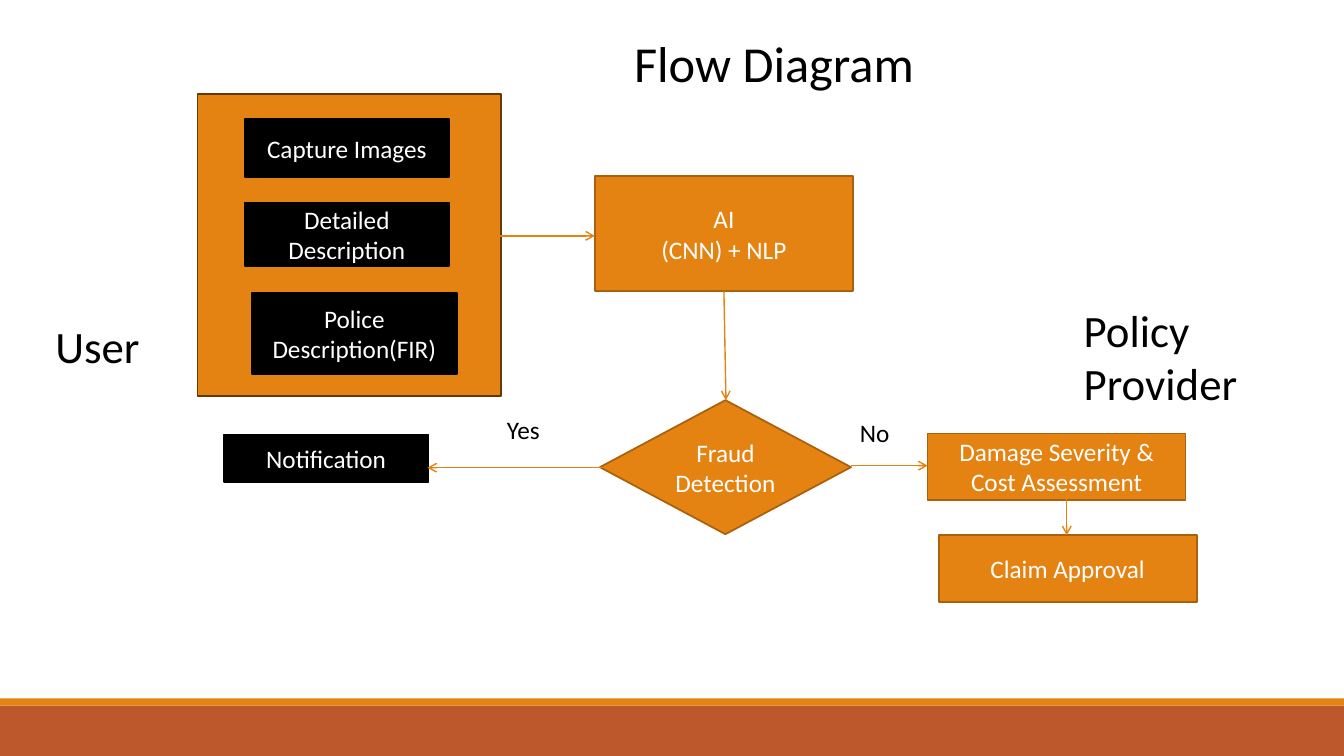
from dataclasses import dataclass

from lxml.etree import SubElement
from pptx import Presentation
from pptx.dml.color import RGBColor
from pptx.enum.shapes import MSO_CONNECTOR, MSO_SHAPE
from pptx.enum.text import MSO_ANCHOR, MSO_AUTO_SIZE, PP_ALIGN
from pptx.oxml.ns import qn
from pptx.util import Emu, Pt


@dataclass(frozen=True)
class Theme:
    font: str = "Calibri"
    orange: str = "E48312"
    orange_edge: str = "A9610D"
    panel_edge: str = "643908"
    rust: str = "BD582C"
    black: str = "000000"
    white: str = "FFFFFF"
    title_size: int = 36
    role_size: int = 32
    body_size: int = 18
    edge_width: float = 1.25
    arrow_width: float = 1


theme = Theme()
PX = 9144  # 100 px to the inch


def write_lines(frame, lines, size, color, alignment):
    for index, line in enumerate(lines):
        paragraph = frame.paragraphs[0] if index == 0 else frame.add_paragraph()
        paragraph.alignment = alignment
        run = paragraph.add_run()
        run.text = line
        run.font.name = theme.font
        run.font.size = Pt(size)
        run.font.color.rgb = RGBColor.from_string(color)


def add_box(box, fill, edge=None, lines=(), kind=MSO_SHAPE.RECTANGLE):
    shape = slide.shapes.add_shape(kind, *(Emu(value * PX) for value in box))
    shape.shadow.inherit = False
    shape.fill.solid()
    shape.fill.fore_color.rgb = RGBColor.from_string(fill)
    if edge:
        shape.line.color.rgb = RGBColor.from_string(edge)
        shape.line.width = Pt(theme.edge_width)
    else:
        shape.line.fill.background()
    shape.text_frame.word_wrap = True
    shape.text_frame.vertical_anchor = MSO_ANCHOR.MIDDLE
    write_lines(shape.text_frame, lines, theme.body_size, theme.white, PP_ALIGN.CENTER)


presentation = Presentation()
presentation.slide_width = Emu(1333 * PX)
presentation.slide_height = Emu(750 * PX)
slide = presentation.slides.add_slide(presentation.slide_layouts[6])

# Footer bands and the user's panel
add_box((0, 700, 1333, 50), theme.rust)
add_box((0, 693, 1333, 7), theme.orange)
add_box((196, 93, 301, 300), theme.orange, theme.panel_edge)

# What the user sends and receives
user_steps = [
    ((243, 118, 202, 58), "Capture Images"),
    ((243, 201, 202, 63), "Detailed Description"),
    ((250, 291, 203, 80), "Police Description(FIR)"),
    ((222, 431, 203, 47), "Notification"),
]
for box, label in user_steps:
    add_box(box, theme.black, theme.black, [label])

# What the system and the policy provider do
process_steps = [
    ((590, 175, 256, 114), ["AI", "(CNN) + NLP"], MSO_SHAPE.RECTANGLE),
    ((595, 397, 249, 133), ["Fraud Detection"], MSO_SHAPE.FLOWCHART_DECISION),
    ((920, 430, 256, 66), ["Damage Severity & Cost Assessment"], MSO_SHAPE.RECTANGLE),
    ((931, 531, 256, 66), ["Claim Approval"], MSO_SHAPE.RECTANGLE),
]
for box, lines, kind in process_steps:
    add_box(box, theme.orange, theme.orange_edge, lines, kind)

# Arrows: start x, start y, end x, end y
arrows = [
    (495, 234, 590, 234),
    (718, 289, 720, 397),
    (599, 464, 424, 464),
    (844, 462, 920, 462),
    (1058, 493, 1058, 531),
]
for ends in arrows:
    arrow = slide.shapes.add_connector(
        MSO_CONNECTOR.STRAIGHT, *(Emu(value * PX) for value in ends)
    )
    arrow.line.color.rgb = RGBColor.from_string(theme.orange)
    arrow.line.width = Pt(theme.arrow_width)
    SubElement(arrow.line._get_or_add_ln(), qn("a:tailEnd"), type="arrow")
    SubElement(arrow._element.spPr, qn("a:effectLst"))

# Title, roles and branch labels
captions = [
    ((619, 27, 301, 71), "Flow Diagram", theme.title_size),
    ((45, 311, 142, 64), "User", theme.role_size),
    ((1065, 295, 180, 118), "Policy Provider", theme.role_size),
    ((493, 406, 84, 40), "Yes", theme.body_size),
    ((843, 409, 54, 40), "No", theme.body_size),
]
for box, caption, size in captions:
    frame = slide.shapes.add_textbox(*(Emu(value * PX) for value in box)).text_frame
    frame.word_wrap = True
    frame.auto_size = MSO_AUTO_SIZE.SHAPE_TO_FIT_TEXT
    write_lines(frame, [caption], size, theme.black, PP_ALIGN.LEFT)

presentation.save("out.pptx")
